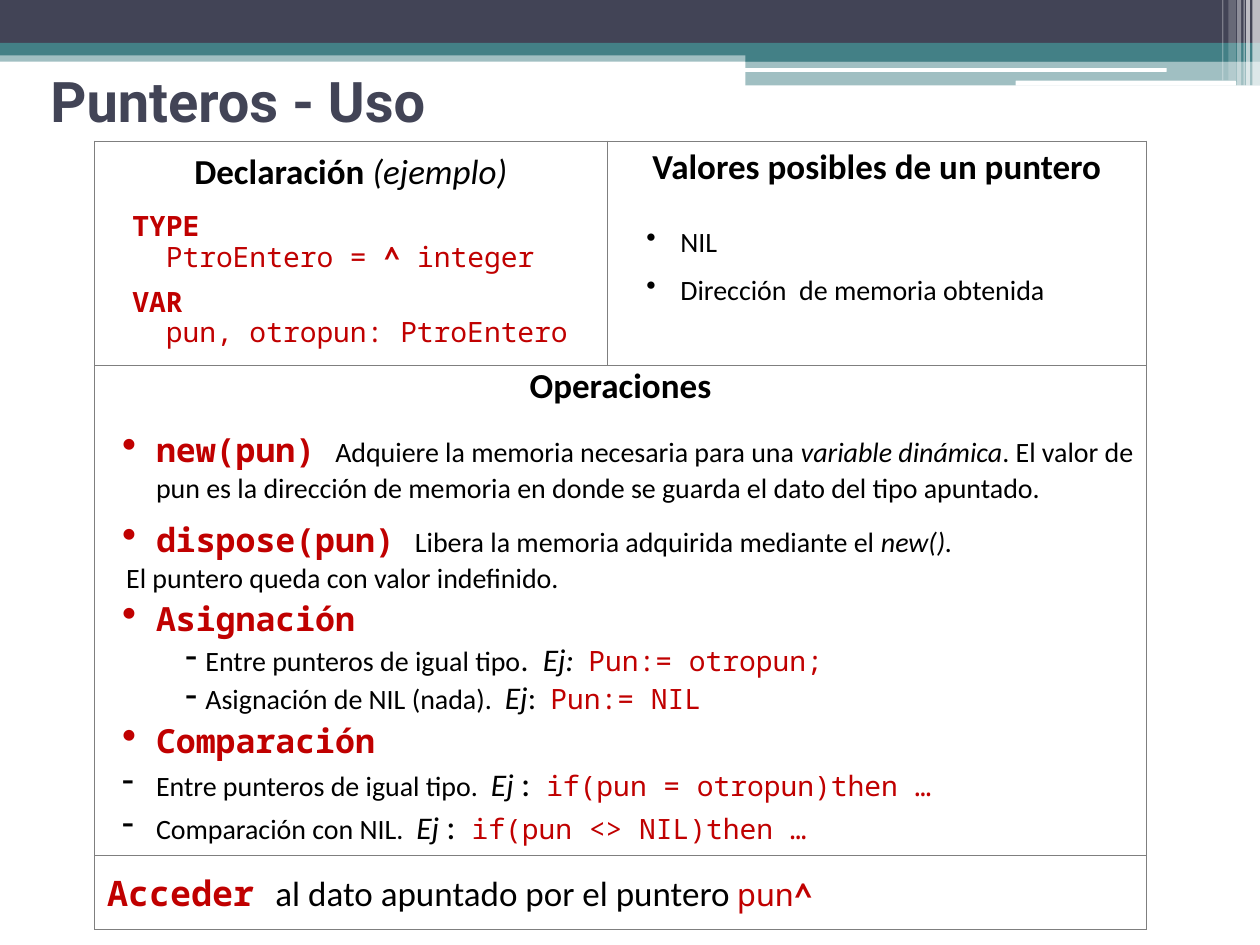
from lxml.etree import SubElement
from pptx import Presentation
from pptx.dml.color import RGBColor
from pptx.enum.shapes import MSO_SHAPE as Shape
from pptx.enum.text import MSO_ANCHOR as Anchor, PP_ALIGN as Align
from pptx.oxml.ns import qn
from pptx.util import Pt

NAVY, TEAL, WHITE = "424456", "438086", "FFFFFF"
BLACK, RED, GRAY = "000000", "C00000", "7F7F7F"
BAND_RIGHT = 720
STRIPES = [(715.7, 4.3, 49, 65), (712.1, 2.2, 49, 65), (710.6, 0.7, 49, 60),
           (707, 2.2, 49, 40), (702, 4.3, 46, 20), (698.4, 0.7, 46, 30)]


def set_color(color_parent, color):
    """Apply a hex colour to a fill or font colour."""
    color_parent.rgb = RGBColor.from_string(color)


def add_block(slide, left, top, width, height, color, opacity=100, kind=Shape.RECTANGLE):
    """Add a borderless decorative block."""
    block = slide.shapes.add_shape(kind, Pt(left), Pt(top), Pt(width), Pt(height))
    block.shadow.inherit = False
    block.line.fill.background()
    block.fill.solid()
    set_color(block.fill.fore_color, color)
    if opacity < 100:
        color_element = next(block.fill._xPr.iter(qn("a:srgbClr")))
        SubElement(color_element, qn("a:alpha"), val=str(opacity * 1000))


def add_header(slide):
    """Add the coloured band and its light stripes at the top."""
    add_block(slide, 0, 28.8, BAND_RIGHT, 6.5, TEAL, 50)
    add_block(slide, 0, 0, BAND_RIGHT, 24.5, NAVY)
    add_block(slide, 0, 24.5, BAND_RIGHT, 7.2, TEAL)
    add_block(slide, 426, 28, BAND_RIGHT - 426, 7.2, TEAL)
    add_block(slide, 426, 34.6, BAND_RIGHT - 426, 14.2, TEAL, 50)
    add_block(slide, 425.5, 38.9, 241.2, 2.2, WHITE, kind=Shape.ROUNDED_RECTANGLE)
    add_block(slide, 580.3, 46.1, 126, 2.9, WHITE, kind=Shape.ROUNDED_RECTANGLE)
    for left, width, height, opacity in STRIPES:
        add_block(slide, left, 0, width, height, WHITE, opacity)


def plain(text, size=16, bold=False, italic=False):
    """Describe a run of ordinary text."""
    return text, "Calibri", size, BLACK, bold, italic


def code(text, size=16, bold=False):
    """Describe a run of code."""
    return text, "Noto Sans Mono", size, RED, bold, False


def add_run(paragraph, text, font_name, size, color, bold, italic):
    """Add one formatted run."""
    run = paragraph.add_run()
    run.text = text
    run.font.name, run.font.size = font_name, Pt(size)
    run.font.bold, run.font.italic = bold, italic
    set_color(run.font.color, color)


def add_paragraph(frame, runs, bullet=None, bullet_color=BLACK, bullet_size=100,
                  left=0, hanging=0, tab=None, align=Align.LEFT, spacing=1.0, before=0, after=0):
    """Fill the first empty paragraph or append a new one."""
    first = frame.paragraphs[0]
    paragraph = frame.add_paragraph() if first.runs else first
    properties = paragraph._p.get_or_add_pPr()
    properties.set("marL", str(Pt(left)))
    properties.set("indent", str(-Pt(hanging)))
    if bullet:
        bullet_fill = SubElement(properties, qn("a:buClr"))
        SubElement(bullet_fill, qn("a:srgbClr"), val=bullet_color)
        SubElement(properties, qn("a:buSzPct"), val=str(bullet_size * 1000))
        SubElement(properties, qn("a:buChar"), char=bullet)
    else:
        SubElement(properties, qn("a:buNone"))
    if tab:
        tab_list = SubElement(properties, qn("a:tabLst"))
        SubElement(tab_list, qn("a:tab"), pos=str(Pt(tab)), algn="l")
    paragraph.alignment, paragraph.line_spacing = align, spacing
    paragraph.space_before, paragraph.space_after = Pt(before), Pt(after)
    for run in runs:
        add_run(paragraph, *run)


def add_heading(frame, *runs):
    """Add a centred cell heading."""
    add_paragraph(frame, runs, align=Align.CENTER, spacing=0.8, after=12)


def add_operation(frame, *runs, after=0):
    """Add a red-bulleted operation."""
    add_paragraph(frame, runs, "•", RED, 125, left=28, hanging=19.4, after=after)


def add_case(frame, *runs, left=28, hanging=19.4):
    """Add a dashed case of an operation."""
    add_paragraph(frame, runs, "-", BLACK, 125, left=left, hanging=hanging)


def format_cell(cell):
    """Give a cell thin borders, no fill and middle anchoring."""
    properties = cell._tc.get_or_add_tcPr()
    for side in ("a:lnL", "a:lnR", "a:lnT", "a:lnB"):
        border = SubElement(properties, qn(side), w=str(Pt(0.45)))
        fill = SubElement(border, qn("a:solidFill"))
        SubElement(fill, qn("a:srgbClr"), val=GRAY)
    cell.fill.background()
    cell.vertical_anchor = Anchor.MIDDLE


def add_grid(slide):
    """Add the table with its two full-width lower rows."""
    table = slide.shapes.add_table(3, 2, Pt(54), Pt(80.6), Pt(601.2), Pt(450.7)).table
    table.first_row = table.horz_banding = False
    for column, width in zip(table.columns, (293, 308.2)):
        column.width = Pt(width)
    for row, height in zip(table.rows, (128, 280.2, 42.5)):
        row.height = Pt(height)
    for cell in table.iter_cells():
        format_cell(cell)
    for row in (1, 2):
        table.cell(row, 0).merge(table.cell(row, 1))
    return table


def fill_declaration(frame):
    """Write the declaration example."""
    add_heading(frame, plain("Declaración ", 20, bold=True), plain("(ejemplo)", 20, italic=True))
    lines = [([code("TYPE", bold=True)], 0),
             ([code("  PtroEntero = "), code("^", bold=True), code(" integer")], 0),
             ([code("VAR", bold=True)], 8.6),
             ([code("  pun, otropun: PtroEntero")], 0)]
    for runs, before in lines:
        add_paragraph(frame, runs, left=14.4, spacing=0.8, before=before)


def fill_values(cell):
    """Write the possible values of a pointer."""
    cell.margin_bottom = Pt(31)
    frame = cell.text_frame
    add_heading(frame, plain("Valores posibles de un puntero", 20, bold=True))
    for text, before in (("NIL", 13), ("Dirección  de memoria obtenida", 12)):
        add_paragraph(frame, [plain(text)], "•", left=34.6, hanging=19.4,
                      spacing=0.8, before=before)


def fill_operations(frame):
    """Write the operations on pointers."""
    add_heading(frame, plain("Operaciones", 20, bold=True))
    add_operation(frame, code("new(pun) ", 19, True),
                  plain("Adquiere la memoria necesaria para una "),
                  plain("variable dinámica", italic=True),
                  plain(". El valor de pun es la dirección de memoria en donde "
                        "se guarda el dato del tipo apuntado."), after=6)
    add_operation(frame, code("dispose(pun) ", 19, True),
                  plain("Libera la memoria adquirida mediante el "),
                  plain("new().", italic=True))
    add_paragraph(frame, [plain("El puntero queda con valor indefinido.")], left=10.9)
    add_operation(frame, code("Asignación", 19, True))
    add_case(frame, plain("Entre punteros de igual tipo"), plain(".  ", 18),
             plain("Ej:  ", 18, italic=True), code("Pun:= otropun;"), left=56.2, hanging=11.5)
    add_case(frame, plain("Asignación de NIL (nada).  "), plain("Ej", 18, italic=True),
             plain(":  ", 18), code("Pun:= NIL"), left=56.2, hanging=11.5)
    add_operation(frame, code("Comparación", 19, True))
    for text, example in (("Entre punteros de igual tipo.  ", "if(pun = otropun)then …"),
                          ("Comparación con NIL.  ", "if(pun <> NIL)then …")):
        add_case(frame, plain(text), plain("Ej ", 18, italic=True),
                 plain(":  ", 20), code(example))


def fill_access(frame):
    """Write how the pointed data is accessed."""
    add_paragraph(frame, [code("Acceder ", 20, True),
                          plain("al dato apuntado por el puntero\t", 20),
                          code("pun", 18), code("^", 18, True)], tab=371)


def fill_title(title):
    """Place and write the slide title."""
    title.left, title.top, title.width, title.height = Pt(21.6), Pt(26), Pt(384), Pt(62.6)
    title.text_frame.vertical_anchor = Anchor.MIDDLE
    add_paragraph(title.text_frame, [("Punteros - Uso", "Roboto", 32, NAVY, True, False)])


def main():
    """Build and save the slide."""
    presentation = Presentation()
    presentation.slide_width, presentation.slide_height = Pt(720), Pt(540)
    slide = presentation.slides.add_slide(presentation.slide_layouts[5])
    add_header(slide)
    fill_title(slide.shapes.title)
    table = add_grid(slide)
    fill_declaration(table.cell(0, 0).text_frame)
    fill_values(table.cell(0, 1))
    fill_operations(table.cell(1, 0).text_frame)
    fill_access(table.cell(2, 0).text_frame)
    presentation.save("out.pptx")


if __name__ == "__main__":
    main()
